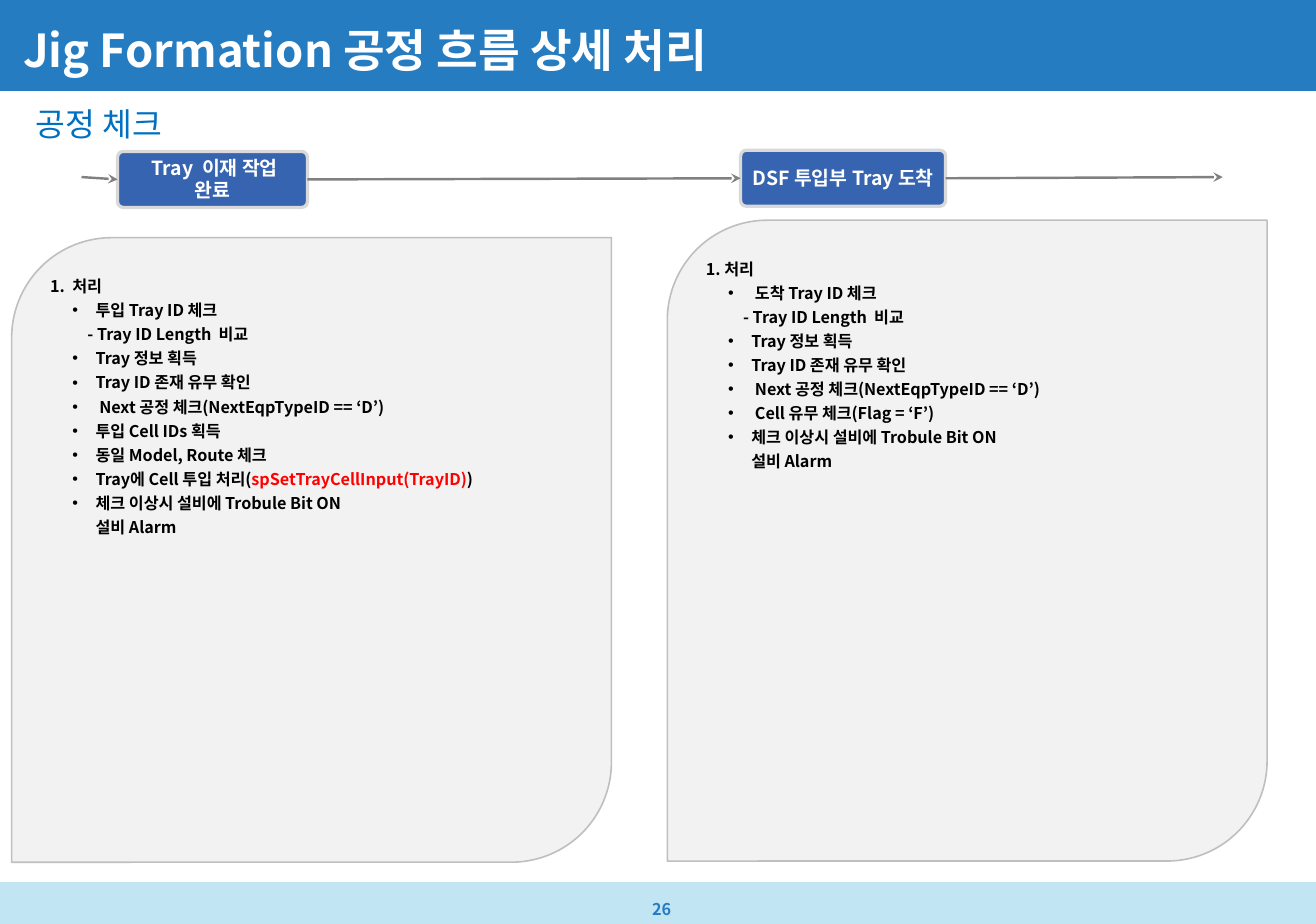
from lxml import etree
from pptx import Presentation
from pptx import util as u
from pptx.dml.color import RGBColor
from pptx.enum import shapes, text
from pptx.oxml.ns import qn

FONT = "Noto Sans CJK KR"
BLUE = RGBColor(0x25, 0x7C, 0xC0)
PALE = RGBColor(0xC2, 0xE5, 0xF4)
HEADING = RGBColor(0x00, 0x70, 0xC0)
STEP = RGBColor(0x36, 0x64, 0xB0)
STEP_EDGE = RGBColor(0xD9, 0xD9, 0xD9)
PANEL = RGBColor(0xF2, 0xF2, 0xF2)
PANEL_EDGE = RGBColor(0xBF, 0xBF, 0xBF)
GREY = RGBColor(0x80, 0x80, 0x80)
RED = RGBColor(0xFF, 0x00, 0x00)
BLACK = RGBColor(0, 0, 0)
WHITE = RGBColor(0xFF, 0xFF, 0xFF)

CELL = u.Inches(0.1)
COLS, ROWS = 113, 79.3
MS = shapes.MSO_SHAPE
AN = text.MSO_ANCHOR
AL = text.PP_ALIGN

prs = Presentation()
prs.slide_width, prs.slide_height = int(COLS * CELL), int(ROWS * CELL)
s = prs.slides.add_slide(prs.slide_layouts[6])


def add_box(kind, cells, fill=None, edge=None, width=1, anchor=AN.TOP, insets=(1, 0.5, 1, 0.5)):
    place = [int(c * CELL) for c in cells]
    if kind is None:
        sp = s.shapes.add_textbox(*place)
    else:
        sp = s.shapes.add_shape(kind, *place)
        sp.shadow.inherit = False
        sp.fill.solid()
        sp.fill.fore_color.rgb = fill
        if edge is None:
            sp.line.fill.background()
        else:
            sp.line.color.rgb = edge
            sp.line.width = u.Pt(width)
    tf = sp.text_frame
    tf.word_wrap = True
    tf.vertical_anchor = anchor
    tf.margin_left, tf.margin_top, tf.margin_right, tf.margin_bottom = [int(i * CELL) for i in insets]
    return sp


def add_run(p, words, size, color, bold=True):
    r = p.add_run()
    r.text = words
    r.font.name, r.font.size, r.font.bold = FONT, u.Pt(size), bold
    r.font.color.rgb = color
    etree.SubElement(r.font._element, qn("a:ea"), typeface=FONT)


add_box(MS.RECTANGLE, (0, 0, COLS, 7.8), BLUE)
add_box(MS.RECTANGLE, (0, ROWS - 3.6, COLS, 3.6), PALE)

labels = [
    ("26", (51.2, 76.5, 11.6, 2.8), AN.MIDDLE, (4.8, 0.8, 0, 0.8), 10, BLUE, True, 1.1),
    ("Jig Formation 공정 흐름 상세 처리", (1, 2.3, 97.4, 4.3), AN.BOTTOM, (1, 0.5, 1, 0), 28, WHITE, True, 0.9),
    ("공정 체크", (2.1, 8.4, 108.7, 4.8), AN.MIDDLE, (1, 0.5, 1, 0.5), 20, HEADING, False, 0.9),
]
for words, cells, anchor, insets, size, color, bold, spacing in labels:
    p = add_box(None, cells, anchor=anchor, insets=insets).text_frame.paragraphs[0]
    p.line_spacing = spacing
    add_run(p, words, size, color, bold)

BULLET, DASH, PLAIN = (3.9, -2), (3.2, 0), (3.9, 0)
LENGTH = (DASH, ["- Tray ID Length  비교"])
COMMON = [
    (BULLET, ["Tray 정보 획득"]),
    (BULLET, ["Tray ID 존재 유무 확인"]),
    (BULLET, [" Next 공정 체크(NextEqpTypeID == ‘D’)"]),
]
ALARM = [(BULLET, ["체크 이상시 설비에 Trobule Bit ON"]), (PLAIN, ["설비 Alarm"])]
panels = [
    ((1, 20.4, 51.5, 53.6), "1.  처리", [
        (BULLET, ["투입 Tray ID 체크"]), LENGTH, *COMMON,
        (BULLET, ["투입 Cell IDs 획득"]),
        (BULLET, ["동일 Model, Route 체크"]),
        (BULLET, ["Tray에 Cell 투입 처리(", "spSetTrayCellInput(TrayID)", ")"]),
        *ALARM]),
    ((57.3, 18.9, 51.5, 55), "1. 처리", [
        (BULLET, [" 도착 Tray ID 체크"]), LENGTH, *COMMON,
        (BULLET, [" Cell 유무 체크(Flag = ‘F’)"]),
        *ALARM]),
]
for cells, head, items in panels:
    tf = add_box(MS.ROUND_2_DIAG_RECTANGLE, cells, PANEL, PANEL_EDGE, insets=(0.8, 0.4, 0.4, 0.4)).text_frame
    p = tf.paragraphs[0]
    p.alignment = AL.LEFT
    p.line_spacing = u.Pt(15)
    add_run(p, head, 10, BLACK)
    for (margin, indent), parts in items:
        p = tf.add_paragraph()
        p.alignment = AL.LEFT
        p.line_spacing, p.space_before = u.Pt(12), u.Pt(2.9)
        pPr = p._p.get_or_add_pPr()
        pPr.set("marL", str(int(margin * CELL)))
        pPr.set("indent", str(int(indent * CELL)))
        if indent:
            etree.SubElement(pPr, qn("a:buFont"), typeface="Arial")
            etree.SubElement(pPr, qn("a:buChar"), char="•")
        for i, words in enumerate(parts):
            add_run(p, words, 10, RED if i == 1 else BLACK)

steps = []
for words, cells in [
    (" Tray  이재 작업 완료", (10.1, 13, 16.3, 4.8)),
    ("DSF 투입부 Tray 도착", (63.6, 12.9, 17.6, 4.8)),
]:
    sp = add_box(MS.ROUNDED_RECTANGLE, cells, STEP, STEP_EDGE, 2, AN.MIDDLE, (0.8, 0.4, 0.8, 0.4))
    sp.adjustments[0] = 0.1
    p = sp.text_frame.paragraphs[0]
    p.alignment = AL.CENTER
    p.line_spacing = u.Pt(13.6)
    add_run(p, words, 12, WHITE)
    steps.append(sp)

loaded, arrived = steps
for x1, x2, source, target in [(7, 10.1, None, loaded), (26.4, 63.6, loaded, arrived), (81.2, 105, arrived, None)]:
    y = int(15.2 * CELL)
    c = s.shapes.add_connector(shapes.MSO_CONNECTOR.STRAIGHT, int(x1 * CELL), y, int(x2 * CELL), y)
    if source:
        c.begin_connect(source, 3)
    if target:
        c.end_connect(target, 1)
    c.line.color.rgb = GREY
    c.line.width = u.Pt(1.5)
    etree.SubElement(c.line._get_or_add_ln(), qn("a:tailEnd"), type="stealth")
    etree.SubElement(c._element.spPr, qn("a:effectLst"))

prs.save("out.pptx")
